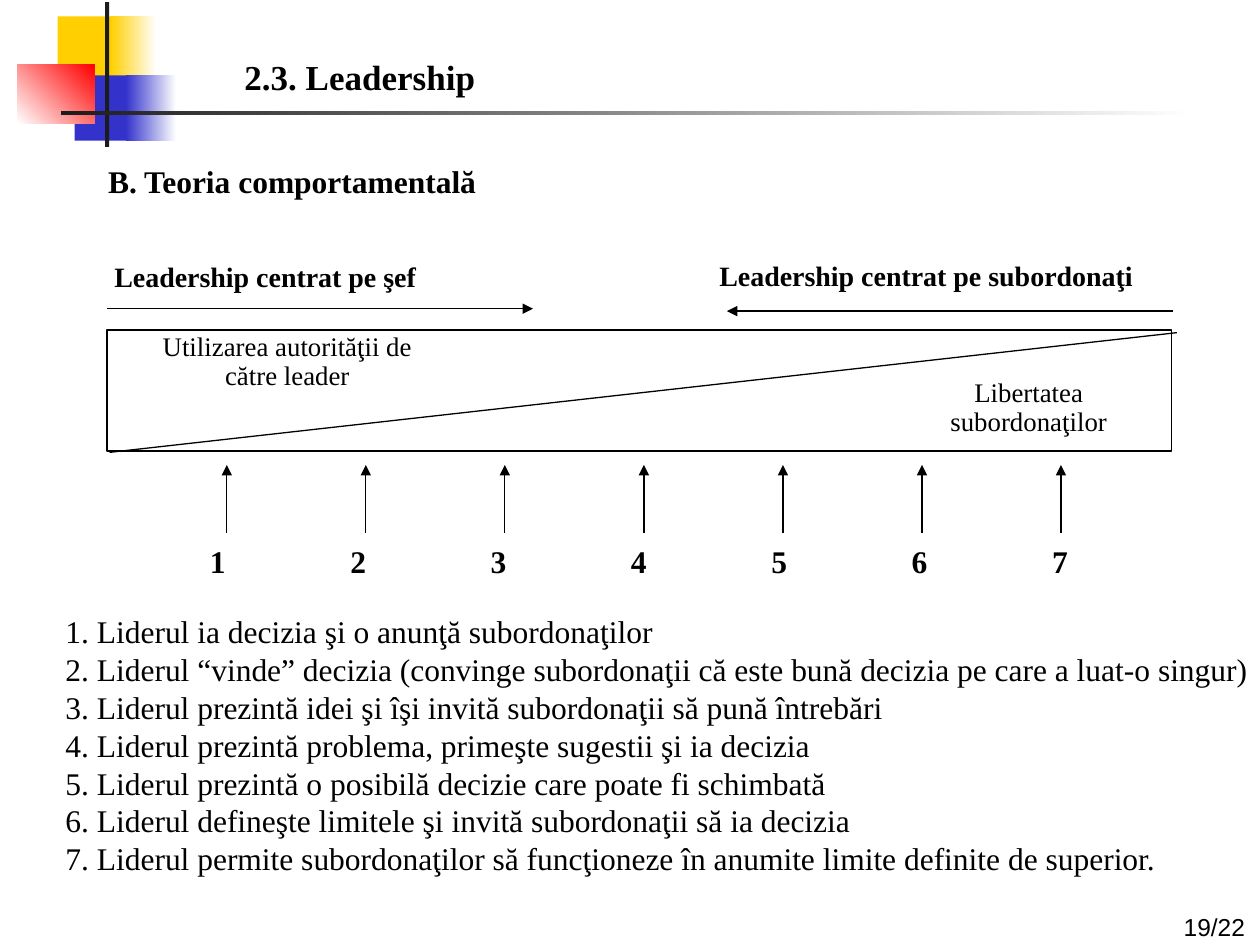
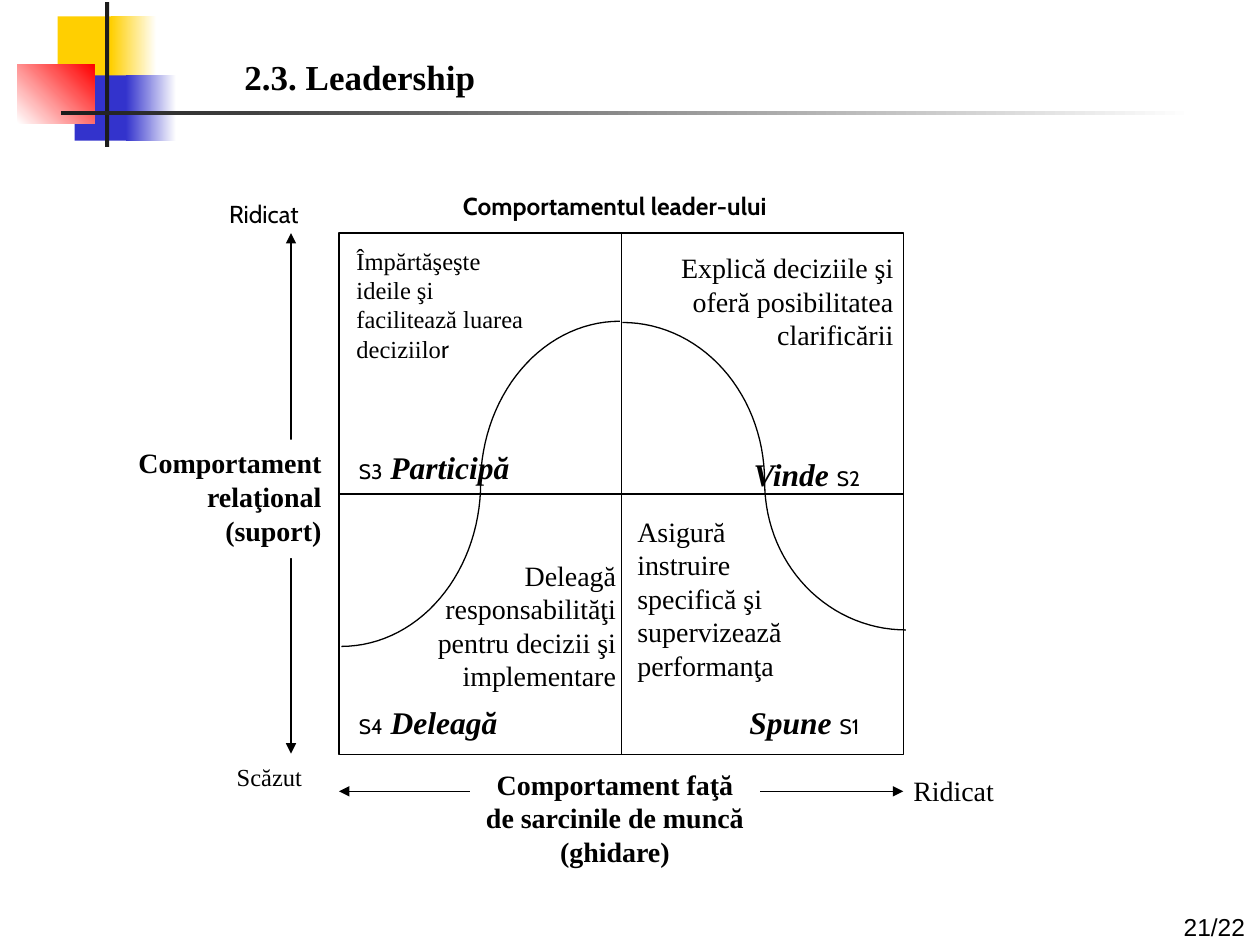
"""Build two slides on leadership: the behaviour scale and the situational grid."""
import math
import pptx
import pptx.util
import pptx.dml.color
import pptx.enum.text
import pptx.enum.shapes
import pptx.oxml.ns
from lxml import etree

Pt = pptx.util.Pt
Align = pptx.enum.text.PP_ALIGN
Kind = pptx.enum.shapes.MSO_SHAPE

HUES = {"ink": "000000", "paper": "FFFFFF", "gold": "FFCF01",
        "blue": "3333CC", "red": "FF0000", "dark": "1C1C1C"}
FONTS = {"text": "Times New Roman", "page": "Arial", "note": "Cabin"}
SIDES = {"l": Align.LEFT, "c": Align.CENTER, "r": Align.RIGHT}

TITLE = "2.3. Leadership"
BANDS = [
    ((33, 9.4, 35, 37.4), ("gold",), 0),
    ((63.4, 9.4, 26, 37.4), ("gold", "paper"), 0),
    ((42.6, 43, 33, 37.4), ("blue",), 0),
    ((72, 43, 28.6, 37.4), ("blue", "paper"), 0),
    ((10, 37, 44, 33.6), ("paper", "red"), 45),
    ((60, 1.2, 2.4, 82.8), ("dark",), 0),
    ((34.6, 63.4, 648, 2.2), ("dark", "paper"), 0),
]

HEAD = "B. Teoria comportamentală"
STEPS = [
    "1. Liderul ia decizia şi o anunţă subordonaţilor",
    "2. Liderul “vinde” decizia (convinge subordonaţii că este bună decizia pe care a luat-o singur)",
    "3. Liderul prezintă idei şi îşi invită subordonaţii să pună întrebări",
    "4. Liderul prezintă problema, primeşte sugestii şi ia decizia",
    "5. Liderul prezintă o posibilă decizie care poate fi schimbată",
    "6. Liderul defineşte limitele şi invită subordonaţii să ia decizia",
    "7. Liderul permite subordonaţilor să funcţioneze în anumite limite definite de superior.",
]
SCALE = [
    ((54.7, 89, 665, 30), [[(HEAD, 18, "b")]], "l"),
    ((58.3, 145, 213, 29), [[("Leadership centrat pe şef", 16, "b")]], "l"),
    ((404, 144.3, 273, 29), [[("Leadership centrat pe subordonaţi", 16, "b")]], "l"),
    ((72.7, 187.2, 183, 45), [[("Utilizarea autorităţii de către leader", 15.3, "")]], "c"),
    ((516.2, 213.1, 143.3, 45), [[("Libertatea subordonaţilor", 15.3, "")]], "c"),
]

GRID = [
    ((235.4, 105.8, 232, 29), [[("Comportamentul leader-ului", 14, "bc")]], "c"),
    ((196.6, 136.8, 111.6, 112), [[("Împărtăşeşte ideile şi facilitează luarea deciziilo", 14, ""),
                                   ("r", 14, "c")]], "l"),
    ((378, 139.7, 139.7, 117), [[("Explică deciziile şi oferă posibilitatea", 16, "")],
                                [("clarificării", 16, "")]], "r"),
    ((231.8, 315.4, 127.4, 97), [[("Deleagă responsabilităţi pentru decizii şi implementare", 16, "")]], "r"),
    ((357.1, 290.2, 111.6, 115), [[("Asigură instruire specifică şi supervizează performanţa", 16, "")]], "l"),
    ((198, 252.7, 144, 31), [[("S3", 12, "c"), (" Participă", 18, "bi")]], "l"),
    ((423.6, 256.3, 88, 30), [[("Vinde ", 18, "bi"), ("S2", 12, "c")]], "l"),
    ((198, 398.2, 113, 31), [[("S4", 12, "c"), (" Deleagă", 18, "bi")]], "l"),
    ((421.2, 398.2, 92, 31), [[("Spune ", 18, "bi"), ("S1", 12, "c")]], "l"),
    ((128.2, 432, 67, 33), [[("Scăzut", 14, "")]], "l"),
    ((514.8, 438.5, 78, 30), [[("Ridicat", 16, "")]], "l"),
    ((123.8, 110.2, 71, 26), [[("Ridicat", 14, "c")]], "l"),
]
AXES = [
    ((193.7, 452.2, 516.2, 452.2), (268.6, 434.9, 165.6, 71.3),
     [[("Comportament faţă de sarcinile de muncă", 16, "b")], [("(ghidare)", 16, "b")]], "c"),
    ((166.3, 133.2, 166.3, 430.6), (66.2, 251.3, 124.6, 67.7),
     [[("Comportament relaţional (suport)", 16, "b")]], "r"),
]
ARCS = [
    ((195.1, 275.8), (79.6, 93.6), 0),
    ((437.0, 275.8), (0, 0), 0),
]
ARCS = [
    ((195.1, 275.8), (79.6, 93.6), 0),
    ((354.2, 277.2), (79.6, 93.6), 180),
    ((355.7, 275), (81.2, 90.7), 270),
    ((517.7, 275.8), (80.7, 84.2), 90),
]


def rgb(hue):
    return pptx.dml.color.RGBColor.from_string(HUES[hue])


def place(shape, box):
    shape.left, shape.top, shape.width, shape.height = map(Pt, box)


def write(frame, paras, side="l", face="text", lead=None):
    frame.word_wrap = True
    frame.auto_size = pptx.enum.text.MSO_AUTO_SIZE.NONE
    frame.vertical_anchor = pptx.enum.text.MSO_ANCHOR.TOP
    for num, runs in enumerate(paras):
        para = frame.add_paragraph() if num else frame.paragraphs[0]
        para.alignment = SIDES[side]
        para.space_before = Pt(0)
        if lead:
            para.line_spacing = lead
        for words, size, style in runs:
            run = para.add_run()
            run.text = words
            font = run.font
            font.name = FONTS["note" if "c" in style else face]
            font.size = Pt(size)
            font.bold = "b" in style
            font.italic = "i" in style
            font.color.rgb = rgb("ink")


def label(slide, box, paras, side="l", face="text", lead=None, hue=None):
    shape = slide.shapes.add_textbox(*map(Pt, box))
    if hue:
        shape.fill.solid()
        shape.fill.fore_color.rgb = rgb(hue)
    write(shape.text_frame, paras, side, face, lead)
    return shape


def block(slide, box, hues, angle=0, edge=False):
    shape = slide.shapes.add_shape(Kind.RECTANGLE, *map(Pt, box))
    shape.shadow.inherit = False
    if len(hues) == 1:
        shape.fill.solid()
        shape.fill.fore_color.rgb = rgb(hues[0])
    else:
        shape.fill.gradient()
        shape.fill.gradient_angle = angle
        for stop, hue in zip(shape.fill.gradient_stops, hues):
            stop.color.rgb = rgb(hue)
    if edge:
        ink(shape)
    else:
        shape.line.fill.background()
    return shape


def ink(shape):
    shape.line.color.rgb = rgb("ink")
    shape.line.width = Pt(0.75)


def line(slide, ends, tips=()):
    link = slide.shapes.add_connector(
        pptx.enum.shapes.MSO_CONNECTOR.STRAIGHT, *map(Pt, ends))
    ink(link)
    props = link._element.spPr
    etree.SubElement(props, pptx.oxml.ns.qn("a:effectLst"))
    for tip in tips:
        etree.SubElement(link.line._get_or_add_ln(),
                         pptx.oxml.ns.qn("a:" + tip), type="triangle")
    return link


def arc(slide, mid, radii, start, count=30):
    turns = [math.radians(start + 90 * num / count) for num in range(count + 1)]
    dots = [(Pt(mid[0] + radii[0] * math.cos(turn)),
             Pt(mid[1] + radii[1] * math.sin(turn))) for turn in turns]
    pen = slide.shapes.build_freeform(*dots[0])
    pen.add_line_segments(dots[1:], close=False)
    curve = pen.convert_to_shape()
    curve.shadow.inherit = False
    curve.fill.background()
    ink(curve)


def start(deck, layout, page):
    slide = deck.slides.add_slide(deck.slide_layouts[layout])
    for box, hues, angle in BANDS:
        block(slide, box, hues, angle)
    place(slide.shapes.title, (132.5, 28, 300, 32))
    write(slide.shapes.title.text_frame, [[(TITLE, 20, "b")]])
    label(slide, (531.4, 517.7, 187.2, 22), [[(page, 14, "")]], "r", "page")
    return slide


def scale(deck):
    slide = start(deck, 1, "19/22")
    block(slide, (61.2, 188.6, 608.4, 69.1), ("paper",), edge=True)
    line(slide, (62.6, 258.5, 672.5, 190.1))
    line(slide, (61.2, 176.4, 304.6, 176.4), ["tailEnd"])
    line(slide, (670.3, 177.8, 415.4, 177.8), ["tailEnd"])
    for box, paras, side in SCALE:
        label(slide, box, paras, side, lead=0.9 if side == "c" else None)
    for num in range(7):
        spot = 129.6 + 79.45 * num
        line(slide, (spot, 304.6, spot, 265.7), ["tailEnd"])

    marks = "".join(f"\t{num}" for num in range(1, 8))
    row = label(slide, (54.7, 306, 665, 29), [])
    props = row.text_frame.paragraphs[0]._p.get_or_add_pPr()
    tabs = etree.SubElement(props, pptx.oxml.ns.qn("a:tabLst"))
    for num in range(7):
        etree.SubElement(tabs, pptx.oxml.ns.qn("a:tab"),
                         pos=str(Pt(62.7 + 80.2 * num)), algn="ctr")
    write(row.text_frame, [[(marks, 18, "b")]])

    body = slide.placeholders[1]
    place(body, (30.2, 346.3, 689.8, 158.4))
    write(body.text_frame, [[(step, 18, "")] for step in STEPS], lead=Pt(21.6))
    body.text_frame.margin_right = 0
    for para in body.text_frame.paragraphs:
        props = para._p.get_or_add_pPr()
        props.set("marL", str(Pt(27)))
        props.set("indent", str(Pt(-27)))
        etree.SubElement(props, pptx.oxml.ns.qn("a:buNone"))


def grid(deck):
    slide = start(deck, 5, "21/22")
    frame = block(slide, (193.7, 133.2, 322.6, 298.1), ("paper",), edge=True)
    for first, last in ((1, 3), (0, 2)):
        link = line(slide, (0, 0, 0, 0))
        link.begin_connect(frame, first)
        link.end_connect(frame, last)
    for mid, radii, turn in ARCS:
        arc(slide, mid, radii, turn)
    for ends, box, paras, side in AXES:
        line(slide, ends, ["headEnd", "tailEnd"])
        label(slide, box, paras, side, hue="paper")
    for box, paras, side in GRID:
        label(slide, box, paras, side)


def main():
    deck = pptx.Presentation()
    deck.slide_width, deck.slide_height = Pt(720), Pt(540)
    scale(deck)
    grid(deck)
    deck.save("out.pptx")


if __name__ == "__main__":
    main()
